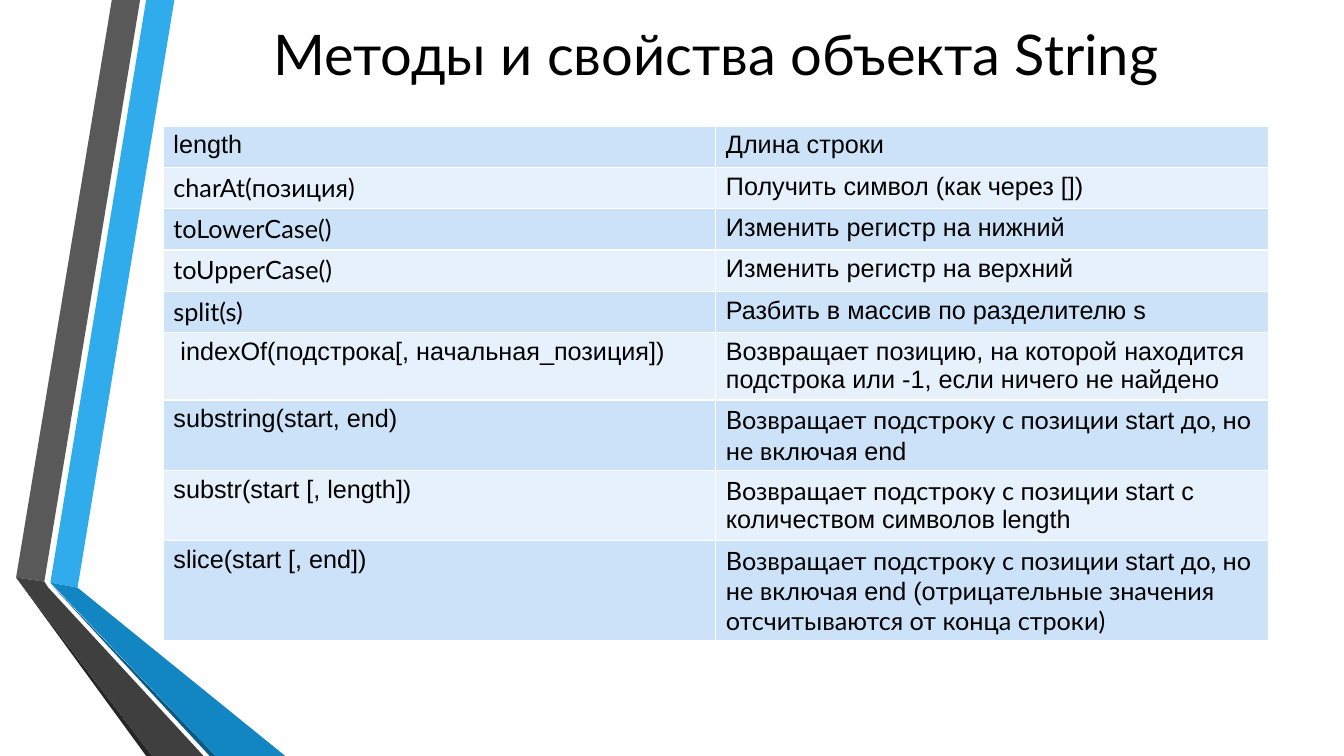
from lxml import etree
from pptx import Presentation
from pptx.dml.color import RGBColor
from pptx.enum.text import MSO_ANCHOR, PP_ALIGN
from pptx.oxml.ns import qn
from pptx.util import Inches, Pt

CENTER, MIDDLE = PP_ALIGN.CENTER, MSO_ANCHOR.MIDDLE
LATO, ARIAL = "Lato", "Arial"
COLORS = {
    "text": "000000", "line": "FFFFFF", "odd": "CCE2F8", "even": "E7F1FB",
    "blue": "30ACEC", "gray": "595959", "coal": "262626",
    "navy": "0B5982", "deep": "1186C3", "dark": "3F3F3F",
}

TITLE = "Методы и свойства объекта String"
FROM = (LATO, "Возвращает подстроку с позиции\u00a0")
START = (ARIAL, "start")
UNTIL = (LATO, "\u00a0до, но не включая\u00a0")
# Each row: height, method runs, meaning runs
ROWS = [
    (0.41, [(ARIAL, "length")], [(ARIAL, "Длина cтроки")]),
    (0.41, [(LATO, "charAt(позиция)")],
     [(ARIAL, "Получить символ (как через []) ")]),
    (0.41, [(LATO, "toLowerCase()")],
     [(ARIAL, "Изменить регистр на нижний")]),
    (0.41, [(LATO, "toUpperCase()")],
     [(ARIAL, "Изменить регистр на верхний")]),
    (0.41, [(LATO, "split(s)")],
     [(ARIAL, "Разбить в массив по разделителю s")]),
    (0.67, [(ARIAL, " indexOf(подстрока[, начальная_позиция])")],
     [(ARIAL, "Возвращает позицию, на которой находится подстрока "
              "или -1, если ничего не найдено")]),
    (0.69, [(ARIAL, "substring(start, end)\u00a0")],
     [FROM, START, UNTIL, (ARIAL, "end")]),
    (0.69, [(ARIAL, "substr(start [, length])")],
     [FROM, (ARIAL, "start с количеством символов length")]),
    (0.99, [(ARIAL, "slice(start [, end])")],
     [FROM, START, UNTIL, (ARIAL, "end (о"),
      (LATO, "трицательные значения отсчитываются от конца строки)")]),
]

# Ribbon facets from back to front, corners in inches
RIBBONS = [
    ("blue", [(0.5, 5.78), (0.77, 5.83), (1.73, 0), (1.45, 0)]),
    ("gray", [(1.39, 0), (1.11, 0), (0.16, 5.73), (0.44, 5.77)]),
    ("coal", [(0.16, 5.73), (1.45, 7.5), (1.51, 7.5)]),
    ("navy", [(0.5, 5.79), (2.08, 7.5), (2.14, 7.5)]),
    ("deep", [(0.5, 5.78), (2.14, 7.5), (2.83, 7.5), (0.77, 5.83)]),
    ("dark", [(2.02, 7.5), (0.48, 5.83), (0.44, 5.77), (0.16, 5.73),
              (1.51, 7.5)]),
]
LEFT, WIDTH = 1.62, 10.96


def tint(name):
    """Return the named colour."""
    return RGBColor.from_string(COLORS[name])


def style(font, size, face):
    """Set size, face and text colour of a font."""
    font.size, font.name = Pt(size), face
    font.color.rgb = tint("text")


def add_ribbon(slide, color, points):
    """Draw one flat facet of the ribbons."""
    spots = [(Inches(x), Inches(y)) for x, y in points]
    pen = slide.shapes.build_freeform(*spots[0])
    pen.add_line_segments(spots[1:], close=True)
    facet = pen.convert_to_shape()
    facet.shadow.inherit = False
    facet.fill.solid()
    facet.fill.fore_color.rgb = tint(color)
    facet.line.fill.background()


def add_edges(cell):
    """Give a cell thin lines on all four sides."""
    props = cell._tc.get_or_add_tcPr()
    for side in ("lnL", "lnR", "lnT", "lnB"):
        edge = etree.SubElement(props, qn("a:" + side), w=str(Pt(1)))
        fill = etree.SubElement(edge, qn("a:solidFill"))
        etree.SubElement(fill, qn("a:srgbClr"), val=COLORS["line"])


def fill_cell(cell, runs, color):
    """Write the runs into a cell and colour it."""
    add_edges(cell)
    cell.fill.solid()
    cell.fill.fore_color.rgb = tint(color)
    para = cell.text_frame.paragraphs[0]
    style(para.font, 18, runs[0][0])
    for face, text in runs:
        run = para.add_run()
        run.text = text
        style(run.font, 18, face)


def add_methods(slide):
    """Add the table of methods and their meanings."""
    high = sum(row[0] for row in ROWS)
    frame = slide.shapes.add_table(
        len(ROWS), 2, Inches(LEFT), Inches(1.25), Inches(WIDTH), Inches(high))
    table = frame.table
    table.first_row = table.horz_banding = False
    for i, (tall, *texts) in enumerate(ROWS):
        table.rows[i].height = Inches(tall)
        for j, runs in enumerate(texts):
            fill_cell(table.cell(i, j), runs, "even" if i % 2 else "odd")


def set_title(slide):
    """Place the title above the ribbons."""
    title = slide.shapes.title
    title.left, title.top = Inches(LEFT), Inches(-0.43)
    title.width, title.height = Inches(WIDTH), Inches(1.92)
    frame = title.text_frame
    frame.text, frame.word_wrap = TITLE, True
    frame.vertical_anchor = MIDDLE
    para = frame.paragraphs[0]
    para.alignment = CENTER
    style(para.font, 40, LATO)
    slide.shapes._spTree.append(title._element)


deck = Presentation()
deck.slide_width, deck.slide_height = Inches(13.33), Inches(7.5)
slide = deck.slides.add_slide(deck.slide_layouts[5])
for color, points in RIBBONS:
    add_ribbon(slide, color, points)
set_title(slide)
add_methods(slide)
deck.save("out.pptx")
